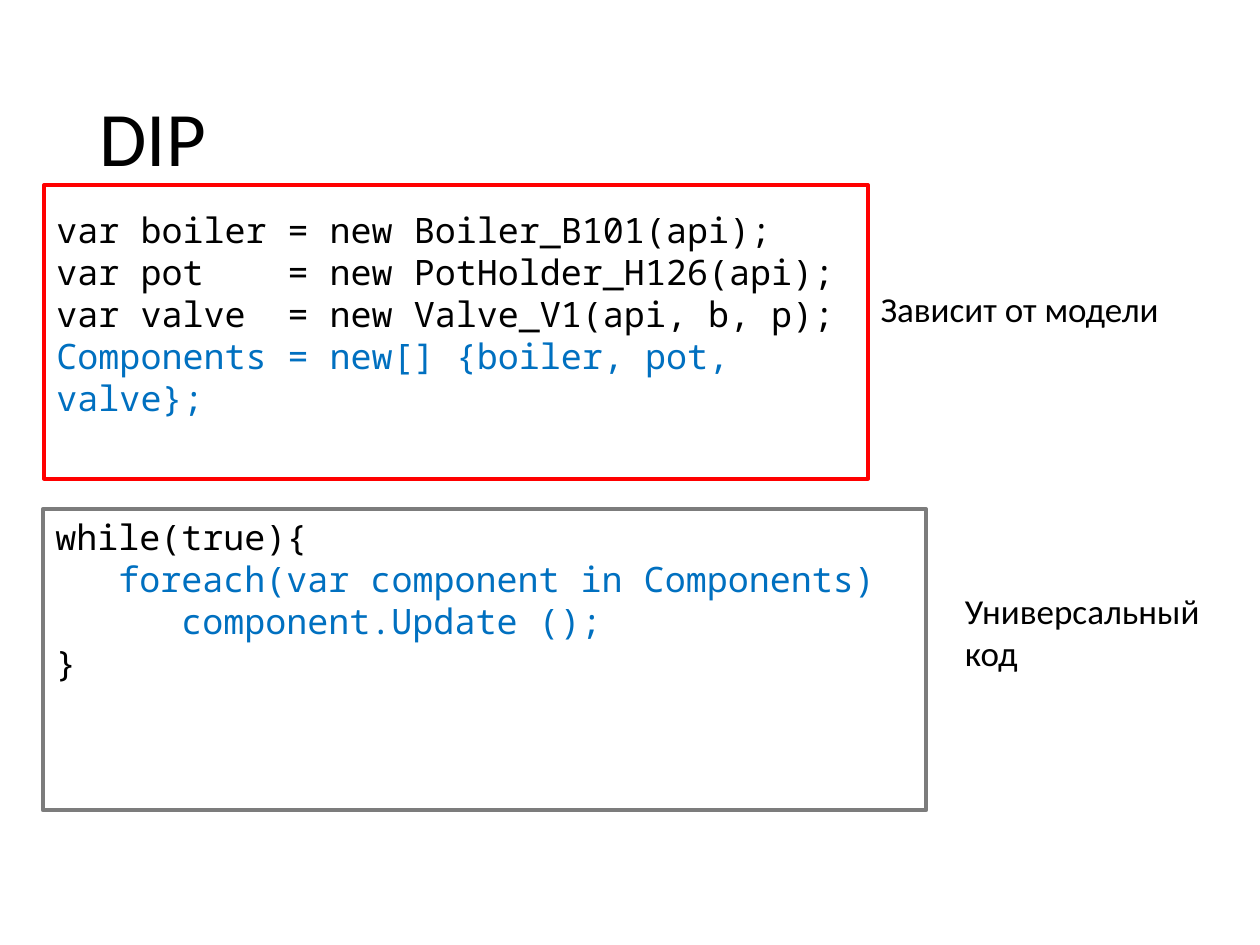
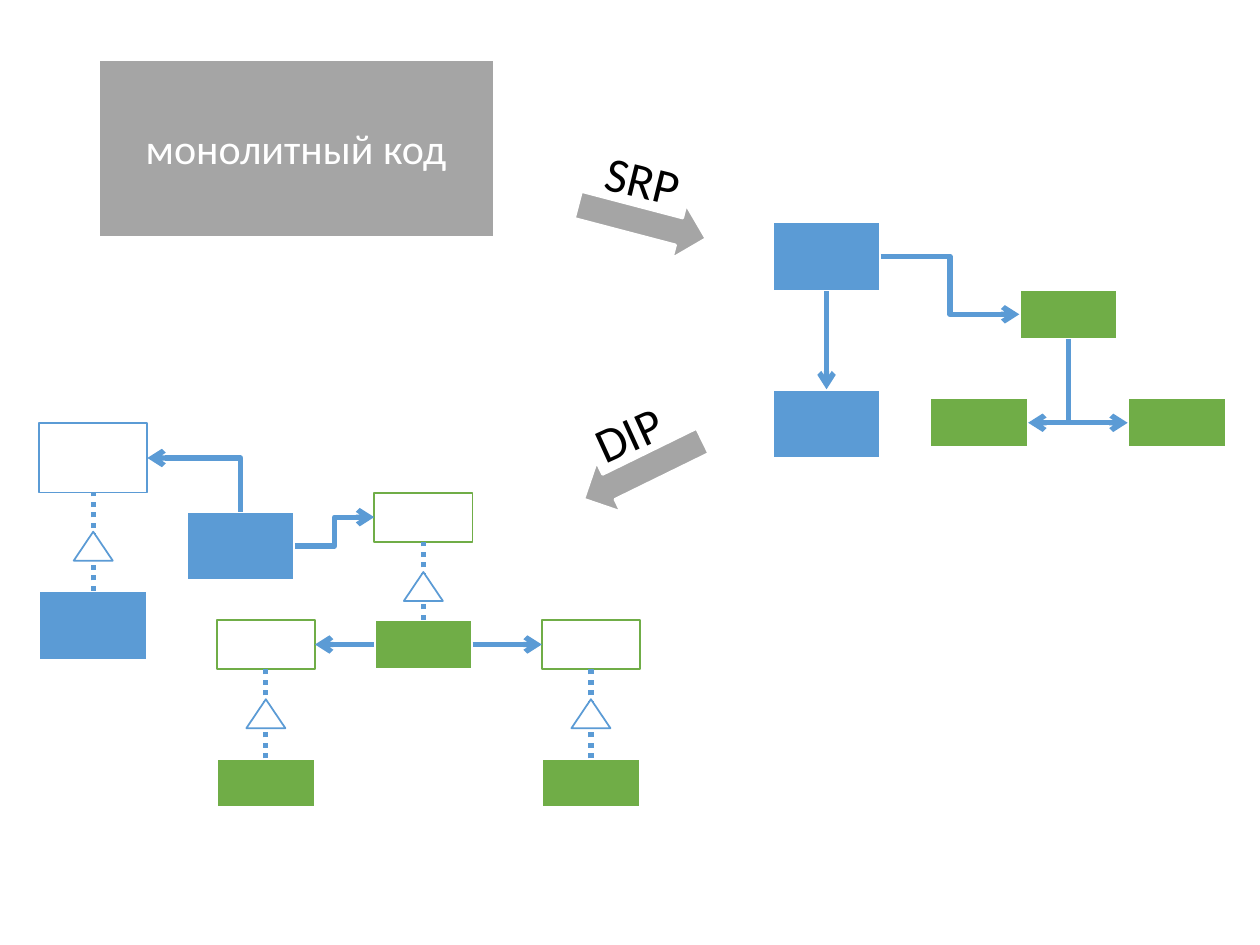
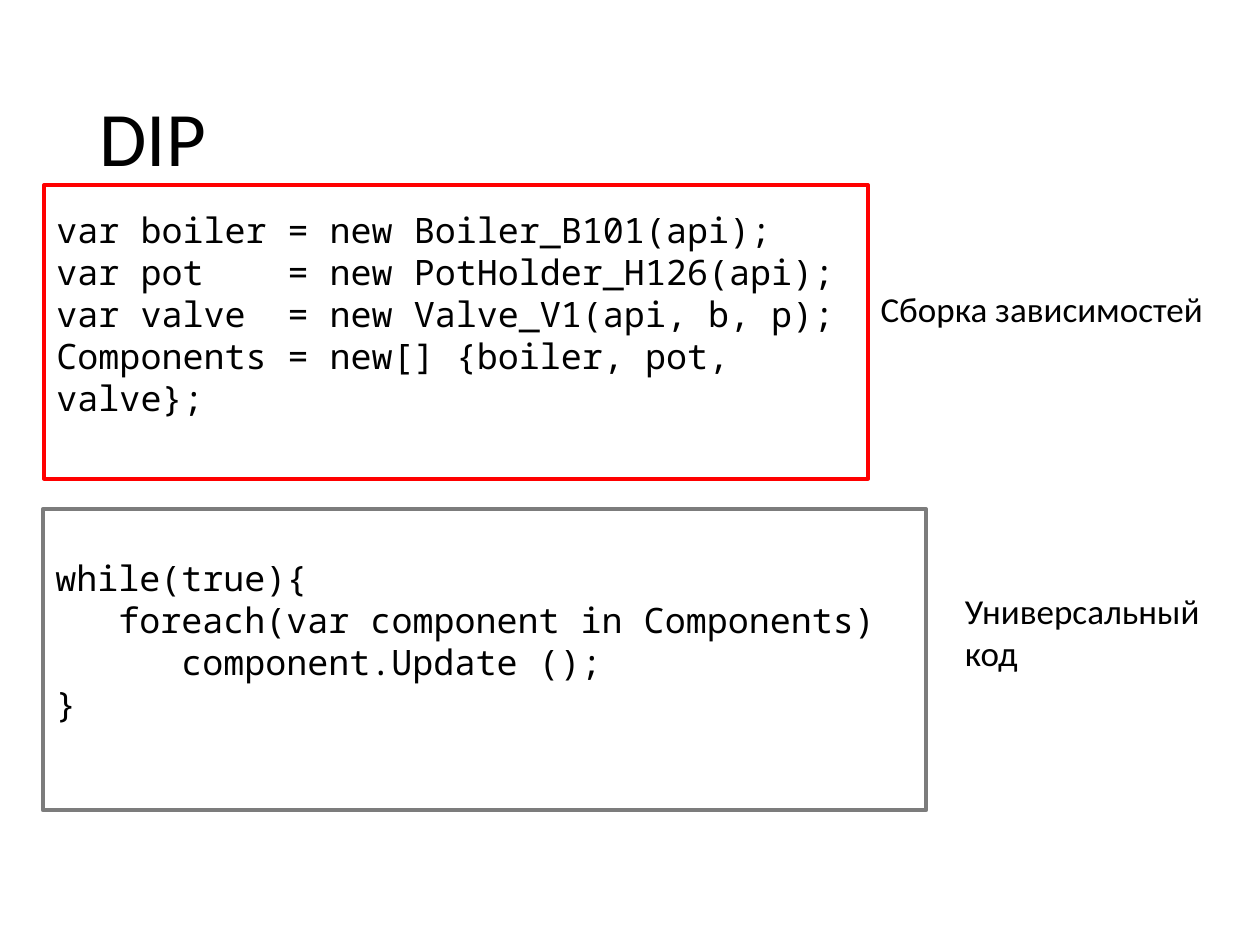
from dataclasses import dataclass

from pptx import Presentation
from pptx.dml.color import RGBColor
from pptx.enum.dml import MSO_LINE
from pptx.enum.shapes import MSO_CONNECTOR, MSO_SHAPE
from pptx.enum.text import MSO_ANCHOR, MSO_AUTO_SIZE, PP_ALIGN
from pptx.oxml.ns import qn
from pptx.util import Inches, Pt

RECTANGLE, TRIANGLE = MSO_SHAPE.RECTANGLE, MSO_SHAPE.ISOSCELES_TRIANGLE
ARROW = MSO_SHAPE.RIGHT_ARROW
STRAIGHT, ELBOW = MSO_CONNECTOR.STRAIGHT, MSO_CONNECTOR.ELBOW
TOP, MIDDLE = MSO_ANCHOR.TOP, MSO_ANCHOR.MIDDLE
LEFT, CENTER = PP_ALIGN.LEFT, PP_ALIGN.CENTER
FIT_SHAPE = MSO_AUTO_SIZE.SHAPE_TO_FIT_TEXT
DOTTED = MSO_LINE.ROUND_DOT


@dataclass(frozen=True)
class Theme:
    black: str = "000000"
    white: str = "FFFFFF"
    red: str = "FF0000"
    frame_gray: str = "7C7C7C"
    gray: str = "A5A5A5"
    blue: str = "5B9BD5"
    green: str = "70AD47"
    code_blue: str = "0070C0"
    font: str = "Calibri"
    code_font: str = "Noto Sans Mono"
    title_size: int = 44
    label_size: int = 28
    block_size: int = 24
    body_size: int = 20
    code_indent: float = 0.5


THEME = Theme()


@dataclass(frozen=True)
class Box:
    """A rectangle in inches."""
    left: float
    top: float
    width: float
    height: float

    @property
    def lengths(self):
        return [Inches(n) for n in (self.left, self.top, self.width, self.height)]

    @property
    def middle_x(self):
        return self.left + self.width / 2

    @property
    def middle_y(self):
        return self.top + self.height / 2

    @property
    def west(self):
        return self.left, self.middle_y

    @property
    def east(self):
        return self.left + self.width, self.middle_y

    @property
    def north(self):
        return self.middle_x, self.top

    @property
    def south(self):
        return self.middle_x, self.top + self.height


def color(code):
    return RGBColor.from_string(code)


# ---- Text and shapes ----

def write(shape, text, *, size=THEME.body_size, font=THEME.font, ink=THEME.black,
          line_inks=(), levels=(), align=LEFT, anchor=TOP, wrap=True,
          spacing=None, bottom_inset=0.05):
    """Write one paragraph per line; a vertical tab breaks a line."""
    frame = shape.text_frame
    frame.word_wrap = wrap
    frame.vertical_anchor = anchor
    frame.margin_bottom = Inches(bottom_inset)
    if not wrap:
        frame.auto_size = FIT_SHAPE
    for index, line in enumerate(text.split("\n")):
        para = frame.paragraphs[0] if index == 0 else frame.add_paragraph()
        para.text = line
        para.alignment = align
        para.line_spacing = spacing
        if levels and levels[index]:
            properties = para._p.get_or_add_pPr()
            properties.set("marL", str(Inches(levels[index] * THEME.code_indent)))
            properties.set("indent", "0")
        for span in para.runs:
            span.font.size = Pt(size)
            span.font.name = font
            span.font.color.rgb = color(line_inks[index] if line_inks else ink)


def add_text(page, box, text, *, rotation=0, **text_format):
    shape = page.shapes.add_textbox(*box.lengths)
    shape.rotation = rotation
    write(shape, text, **text_format)


def add_figure(page, box, kind=RECTANGLE, *, fill=None, line=THEME.white,
               line_width=1.5, rotation=0):
    shape = page.shapes.add_shape(kind, *box.lengths)
    shape.shadow.inherit = False
    shape.rotation = rotation
    if fill:
        shape.fill.solid()
        shape.fill.fore_color.rgb = color(fill)
    else:
        shape.fill.background()
    shape.line.color.rgb = color(line)
    shape.line.width = Pt(line_width)
    return shape


# ---- Connectors ----

def add_link(page, start, end, kind=STRAIGHT, *, dotted=False):
    link = page.shapes.add_connector(kind, *[Inches(n) for n in (*start, *end)])
    link.line.color.rgb = color(THEME.blue)
    link.line.width = Pt(3)
    if dotted:
        link.line.dash_style = DOTTED
    else:
        line = link.line._get_or_add_ln()
        line.append(line.makeelement(qn("a:tailEnd"), {"type": "arrow"}))
    properties = link._element.spPr
    properties.append(properties.makeelement(qn("a:effectLst"), {}))
    return link


def add_corner_link(page, start, end):
    """Run vertically from start, then horizontally to end: one turned corner."""
    across, down = end[0] - start[0], end[1] - start[1]
    middle_x, middle_y = start[0] + across / 2, start[1] + down / 2
    link = add_link(page, (middle_x - down / 2, middle_y + across / 2),
                    (middle_x + down / 2, middle_y - across / 2), ELBOW)
    properties = link._element.spPr
    properties.find(qn("a:xfrm")).set("rot", str(90 * 60000))
    properties.find(qn("a:prstGeom")).set("prst", "bentConnector2")


# ---- Code slides ----

SETUP_CODE = "\n".join([
    "var boiler = new Boiler_B101(api);",
    "var pot    = new PotHolder_H126(api);",
    "var valve  = new Valve_V1(api, b, p);",
    "Components = new[] {boiler, pot, valve};",
])
LOOP_CODE = "\n".join([
    "while(true){",
    "foreach(var component in Components)",
    "component.Update ();",
    "}",
])
LOOP_LEVELS = (0, 1, 2, 0)


def add_code(page, box, code, frame_color, **text_format):
    frame = add_figure(page, box, line=frame_color, line_width=2.25)
    write(frame, code, font=THEME.code_font, **text_format)


def code_slide(page, setup_note, note_width, *, highlight, loop_format):
    accent = THEME.code_blue if highlight else THEME.black
    add_text(page, Box(0.69, 0.4, 8.62, 1.45), "DIP", size=THEME.title_size,
             anchor=MIDDLE, spacing=0.9)
    # Model-specific setup and its note
    add_code(page, Box(0.35, 1.47, 6.54, 2.33), SETUP_CODE, THEME.red,
             anchor=MIDDLE, bottom_inset=0.35,
             line_inks=(THEME.black,) * 3 + (accent,))
    add_text(page, Box(6.89, 2.23, note_width, 0.44), setup_note, wrap=False)
    # Universal loop and its note
    add_code(page, Box(0.34, 4.04, 7.01, 2.39), LOOP_CODE, THEME.frame_gray,
             levels=LOOP_LEVELS, **loop_format,
             line_inks=(THEME.black, accent, accent, THEME.black))
    add_text(page, Box(7.56, 4.63, 2.15, 0.77), "Универсальный \vкод", wrap=False)


# ---- Diagram slide ----

def blue_box(area, left, top):
    return Box(area.left + left, area.top + top, 0.86, 0.55)


def green_box(area, left, top):
    return Box(area.left + left, area.top + top, 0.78, 0.39)


def add_modules(page, boxes, fill):
    for box in boxes:
        add_figure(page, box, fill=fill)


def add_implementation(page, interface, module, accent, gap=0.24):
    """Interface above, module below, joined by a dotted line with a triangle."""
    add_figure(page, interface, fill=THEME.white, line=accent, line_width=1)
    add_figure(page, module, fill=accent)
    add_link(page, module.north, interface.south, dotted=True)
    width = 0.31
    triangle = Box(interface.middle_x - width / 2, interface.south[1] + gap, width, 0.23)
    add_figure(page, triangle, TRIANGLE, fill=THEME.white, line=THEME.blue, line_width=1)


def separated_modules(page, area):
    root, helper = blue_box(area, 0, 0), blue_box(area, 0, 1.33)
    parent = green_box(area, 1.96, 0.54)
    children = [green_box(area, left, 1.4) for left in (1.25, 2.82)]
    add_modules(page, [root, helper], THEME.blue)
    add_modules(page, [parent, *children], THEME.green)
    add_link(page, root.east, parent.west, ELBOW)
    add_link(page, root.south, helper.north)
    add_corner_link(page, parent.south, children[0].east)
    add_corner_link(page, parent.south, children[1].west)


def inverted_modules(page, area):
    root = blue_box(area, 1.17, 0.7)
    helper_interface, helper = blue_box(area, 0, 0), blue_box(area, 0, 1.33)
    parent_interface, parent = green_box(area, 2.66, 0.55), green_box(area, 2.66, 1.56)
    left_interface, right_interface = [green_box(area, left, 1.56) for left in (1.41, 3.99)]
    add_modules(page, [root], THEME.blue)
    add_implementation(page, helper_interface, helper, THEME.blue, gap=0.31)
    add_implementation(page, parent_interface, parent, THEME.green)
    for interface, left in ((left_interface, 1.41), (right_interface, 3.99)):
        add_implementation(page, interface, green_box(area, left, 2.66), THEME.green)
    add_corner_link(page, root.north, helper_interface.east)
    add_link(page, root.east, parent_interface.west, ELBOW)
    add_link(page, parent.west, left_interface.east)
    add_link(page, parent.east, right_interface.west)


def step_arrow(page, box, turn, label, label_box, label_turn):
    add_figure(page, box, ARROW, fill=THEME.gray, rotation=turn)
    add_text(page, label_box, label, size=THEME.label_size, wrap=False,
             rotation=label_turn)


def diagram_slide(page):
    monolith = add_figure(page, Box(0.78, 0.47, 3.14, 1.41), fill=THEME.gray)
    write(monolith, "монолитный код", size=THEME.block_size, ink=THEME.white,
          align=CENTER, anchor=MIDDLE)
    separated_modules(page, Box(6.13, 1.76, 3.6, 1.88))
    inverted_modules(page, Box(0.31, 3.36, 4.77, 3.05))
    step_arrow(page, Box(4.57, 1.54, 1.05, 0.44), 14.7,
               "SRP", Box(4.71, 1.14, 0.8, 0.57), 13.7)
    step_arrow(page, Box(4.58, 3.51, 1.05, 0.44), 153.9,
               "DIP", Box(4.62, 3.15, 0.75, 0.57), 335.5)


def main():
    deck = Presentation()
    deck.slide_width, deck.slide_height = Inches(10), Inches(7.5)
    blank = deck.slide_layouts[6]
    code_slide(deck.slides.add_slide(blank), "Зависит от модели", 2.49,
               highlight=True, loop_format={"anchor": TOP})
    diagram_slide(deck.slides.add_slide(blank))
    code_slide(deck.slides.add_slide(blank), "Сборка зависимостей", 2.78,
               highlight=False, loop_format={"anchor": MIDDLE, "bottom_inset": 0.35})
    deck.save("out.pptx")


main()
